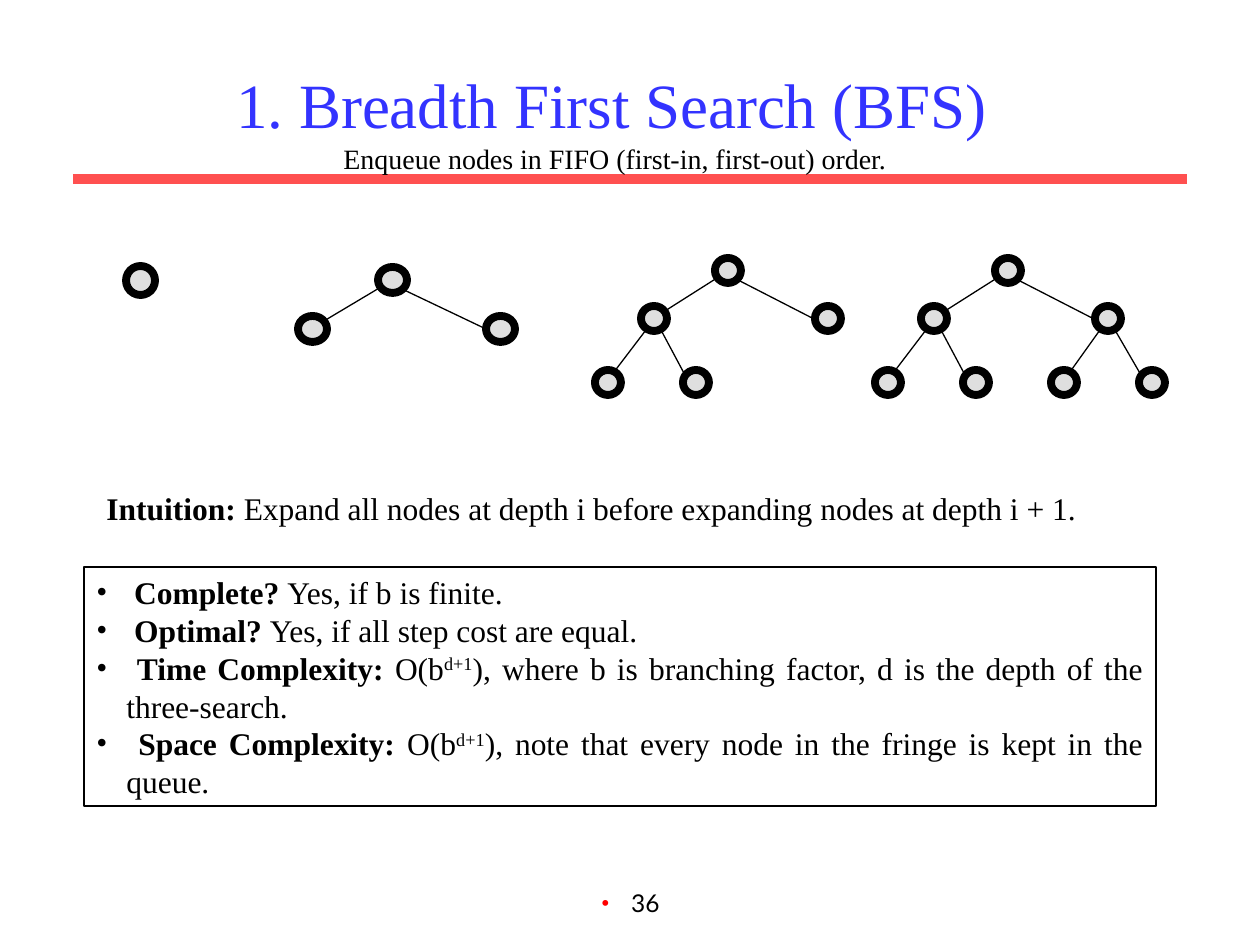
from dataclasses import dataclass

import lxml.etree
import pptx
import pptx.dml.color
import pptx.enum.shapes
import pptx.enum.text
import pptx.oxml.ns
import pptx.util

EMU_PER_PX = 914400 / 126
SERIF = "Times New Roman"
ALIGN = pptx.enum.text.PP_ALIGN
BULLET_INDENT = 30


@dataclass
class Span:
    text: str
    bold: bool = False
    size: int = 18
    color: str = "000000"
    font: str = SERIF
    raised: bool = False


@dataclass
class Edge:
    parent: int
    child: int
    start: tuple[int, int]
    end: tuple[int, int]


@dataclass
class Tree:
    nodes: list[tuple[int, int]]
    edges: list[Edge]
    node_size: tuple[int, int]


def px(length: int) -> int:
    return round(length * EMU_PER_PX)


def rgb(color: str) -> pptx.dml.color.RGBColor:
    return pptx.dml.color.RGBColor.from_string(color)


def add_child(parent, tag: str, **attributes: str):
    return lxml.etree.SubElement(parent, pptx.oxml.ns.qn(tag), attributes)


def add_spans(paragraph, spans: list[Span]) -> None:
    for span in spans:
        run = paragraph.add_run()
        run.text = span.text
        run.font.name = span.font
        run.font.size = pptx.util.Pt(span.size)
        run.font.bold = span.bold
        run.font.color.rgb = rgb(span.color)
        if span.raised:
            run._r.get_or_add_rPr().set("baseline", "30000")


def add_bullet(paragraph, color: str) -> None:
    properties = paragraph._p.get_or_add_pPr()
    properties.set("marL", str(px(BULLET_INDENT)))
    properties.set("indent", str(-px(BULLET_INDENT)))
    add_child(add_child(properties, "a:buClr"), "a:srgbClr", val=color)
    add_child(properties, "a:buFont", typeface=SERIF)
    add_child(properties, "a:buChar", char="•")


def add_line(shapes, start: tuple[int, int], end: tuple[int, int], color: str, width: float):
    line = shapes.add_connector(
        pptx.enum.shapes.MSO_CONNECTOR.STRAIGHT, *map(px, (*start, *end))
    )
    line.line.color.rgb = rgb(color)
    line.line.width = pptx.util.Pt(width)
    add_child(line._element.spPr, "a:effectLst")
    return line


def add_node(shapes, center: tuple[int, int], size: tuple[int, int]) -> None:
    left, top = (round(c - s / 2) for c, s in zip(center, size))
    node = shapes.add_shape(
        pptx.enum.shapes.MSO_SHAPE.OVAL, *map(px, (left, top, *size))
    )
    node.shadow.inherit = False
    node.fill.solid()
    node.fill.fore_color.rgb = rgb("C0C0C0")
    fill_color = node._element.spPr.find(".//" + pptx.oxml.ns.qn("a:srgbClr"))
    add_child(fill_color, "a:alpha", val="50000")
    node.line.color.rgb = rgb("000000")
    node.line.width = pptx.util.Pt(4.5)


def draw_tree(slide, tree: Tree) -> None:
    shapes = slide.shapes.add_group_shape().shapes
    for center in tree.nodes:
        add_node(shapes, center, tree.node_size)
    for edge in tree.edges:
        x1, y1 = tree.nodes[edge.parent]
        x2, y2 = tree.nodes[edge.child]
        start = (x1 + edge.start[0], y1 + edge.start[1])
        end = (x2 + edge.end[0], y2 + edge.end[1])
        add_line(shapes, start, end, "000000", 0.75)


def add_text(slide, left: int, top: int, width: int, height: int):
    box = slide.shapes.add_textbox(*map(px, (left, top, width, height)))
    box.text_frame.word_wrap = True
    return box


def draw_title(slide) -> None:
    title = slide.shapes.title
    title.left, title.top, title.width, title.height = map(px, (84, 42, 1055, 157))
    frame = title.text_frame
    frame.margin_left = frame.margin_right = frame.margin_top = frame.margin_bottom = 0
    frame.auto_size = pptx.enum.text.MSO_AUTO_SIZE.NONE
    frame.vertical_anchor = pptx.enum.text.MSO_ANCHOR.MIDDLE
    heading = frame.paragraphs[0]
    heading.alignment = ALIGN.CENTER
    add_spans(heading, [Span("1. Breadth First Search (BFS)", size=36, color="3333FF")])
    heading.add_line_break()
    line_break = heading._p.find(pptx.oxml.ns.qn("a:br"))
    add_child(line_break, "a:rPr", sz="3600")
    add_spans(heading, [Span(" Enqueue nodes in FIFO (first-in, first-out) order.", size=16)])


def draw_properties(slide) -> None:
    properties = [
        [Span(" Complete? ", True), Span("Yes, if b is finite.")],
        [Span(" Optimal? ", True), Span("Yes, if all step cost are equal. ")],
    ]
    for name, remark in (
        ("Time", "where b is branching factor, d is the depth of the three-search."),
        ("Space", "note that every node in the fringe is kept in the queue."),
    ):
        properties.append([
            Span(f" {name} Complexity: ", True),
            Span("O(b"),
            Span("d+1", raised=True),
            Span(f"), {remark}"),
        ])
    box = add_text(slide, 84, 567, 1072, 239)
    box.line.color.rgb = rgb("000000")
    box.line.width = pptx.util.Pt(0.75)
    frame = box.text_frame
    for index, spans in enumerate(properties):
        paragraph = frame.add_paragraph() if index else frame.paragraphs[0]
        paragraph.alignment = ALIGN.JUSTIFY
        add_bullet(paragraph, "000000")
        add_spans(paragraph, spans)


def build_trees() -> list[Tree]:
    top_edges = [Edge(0, 1, (-11, 7), (11, -8)), Edge(0, 2, (10, 9), (-14, 0))]
    lower_edges = [
        Edge(parent, child + side, start, end)
        for parent, child in ((1, 3), (2, 5))
        for side, start, end in ((0, (-8, 11), (6, -11)), (1, (7, 11), (-11, -8)))
    ]
    full_nodes = [
        (1008, 271), (934, 319), (1108, 319),
        (888, 383), (976, 383), (1064, 383), (1152, 383),
    ]
    partial_nodes = [(x - 280, y) for x, y in full_nodes[:5]]
    return [
        Tree([(140, 280)], [], (29, 29)),
        Tree([(392, 280), (313, 329), (500, 329)], top_edges, (29, 26)),
        Tree(partial_nodes, top_edges + lower_edges[:2], (26, 25)),
        Tree(full_nodes, top_edges + lower_edges, (26, 25)),
    ]


def main() -> None:
    deck = pptx.Presentation()
    deck.slide_width, deck.slide_height = px(1260), px(945)
    slide = deck.slides.add_slide(deck.slide_layouts[5])
    draw_title(slide)
    rule = add_line(slide.shapes, (73, 179), (1187, 179), "FF5050", 6)
    slide.shapes.title._element.addprevious(rule._element)

    page_number = add_text(slide, 431, 882, 399, 63).text_frame.paragraphs[0]
    page_number.alignment = ALIGN.CENTER
    add_bullet(page_number, "FF0000")
    add_spans(page_number, [Span("36", size=14, font="Lato")])

    for tree in build_trees():
        draw_tree(slide, tree)

    intuition = add_text(slide, 94, 483, 1007, 50).text_frame.paragraphs[0]
    add_spans(intuition, [
        Span("Intuition: ", True),
        Span("Expand all nodes at depth i before expanding nodes at depth i + 1."),
    ])
    draw_properties(slide)
    deck.save("out.pptx")


if __name__ == "__main__":
    main()
